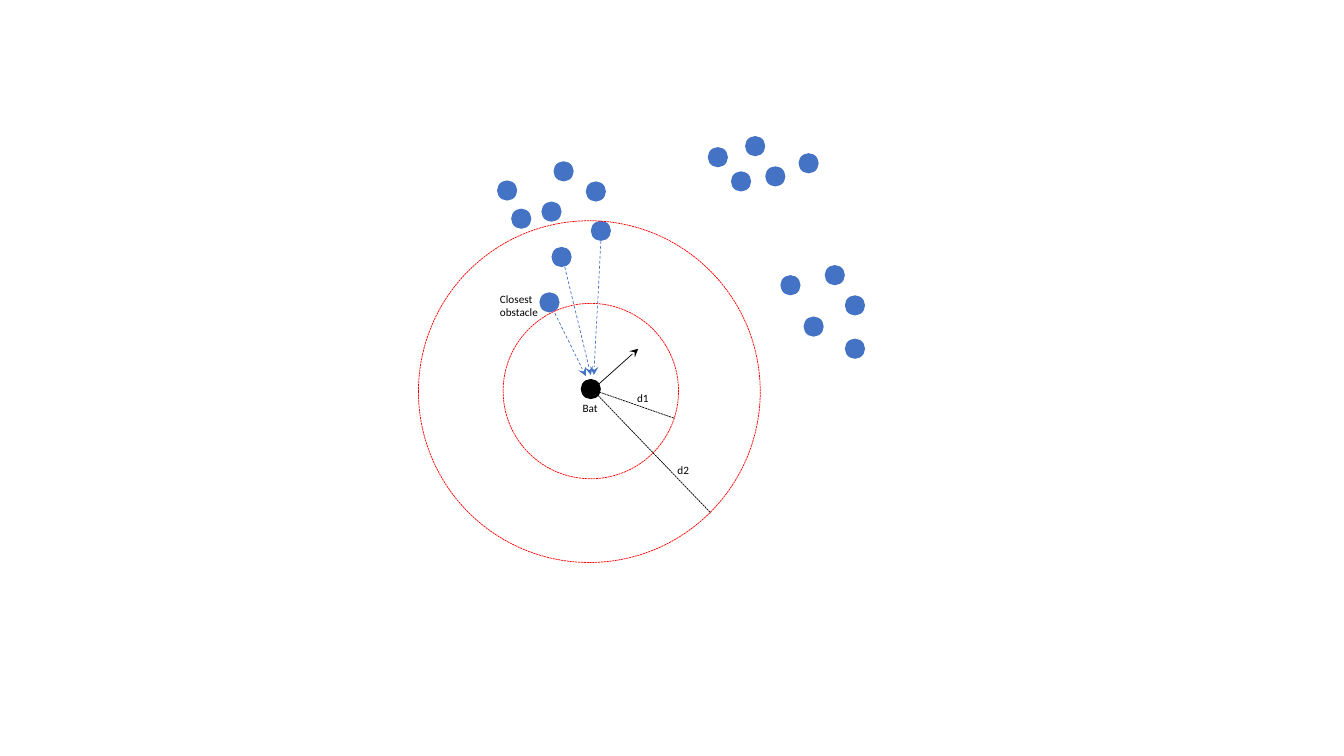
from dataclasses import dataclass

from lxml.etree import SubElement
from pptx import Presentation
from pptx.dml.color import RGBColor
from pptx.enum.dml import MSO_LINE_DASH_STYLE as Dash
from pptx.enum.shapes import MSO_CONNECTOR as Connector, MSO_SHAPE as Shape
from pptx.enum.text import MSO_AUTO_SIZE as AutoSize
from pptx.oxml.ns import qn
from pptx.util import Inches, Pt


@dataclass(frozen=True)
class Theme:
    """Colours, type and line sizes of the diagram."""
    obstacle: RGBColor = RGBColor(0x44, 0x72, 0xC4)
    bat: RGBColor = RGBColor(0, 0, 0)
    ring: RGBColor = RGBColor(0xFF, 0, 0)
    font: str = "Calibri"
    label_size: Pt = Pt(8)
    line_width: Pt = Pt(0.5)


THEME = Theme()
COLUMNS, ROWS = 1333, 750
CELL = Inches(0.01)
DOT = 20

OBSTACLE_CLUSTERS = {
    "near": [(547, 245), (507, 207), (493, 179), (537, 200), (581, 180),
             (586, 219), (535, 290), (549, 160)],
    "right": [(774, 273), (818, 263), (838, 293), (797, 314), (838, 336)],
    "top": [(702, 146), (739, 135), (759, 165), (725, 170), (792, 152)],
}
RANGE_RINGS = [(499, 301, 174), (415, 219, 339)]
ECHOES = [((546, 302), (581, 373)), ((559, 260), (586, 372)),
          ((596, 239), (589, 372))]
HEADING = ((585, 389), (633, 346))
RADII = [((586, 386), (669, 415)), ((589, 388), (705, 509))]
BAT = (576, 376)
LABELS = [("Bat", 568, 393, 35, 24), ("d1", 622, 383, 32, 24),
          ("d2", 662, 455, 32, 24), ("Closest\nobstacle", 486, 285, 59, 37)]


def cells(*counts):
    """Turn counts of grid cells into lengths."""
    return [CELL * count for count in counts]


def style_line(line, color, dash=None):
    """Give a line its colour, the shared width and a dash."""
    line.color.rgb = color
    line.width = THEME.line_width
    if dash is not None:
        line.dash_style = dash


def add_circle(page, left, top, size):
    """Add a circle without a shadow."""
    circle = page.shapes.add_shape(Shape.OVAL, *cells(left, top, size, size))
    circle.shadow.inherit = False
    return circle


def add_dot(page, left, top, color):
    """Add a small filled circle without an outline."""
    dot = add_circle(page, left, top, DOT)
    dot.fill.solid()
    dot.fill.fore_color.rgb = color
    dot.line.fill.background()


def add_ring(page, left, top, size):
    """Add a dashed range ring."""
    ring = add_circle(page, left, top, size)
    ring.fill.background()
    style_line(ring.line, THEME.ring, Dash.SQUARE_DOT)
    ring.line._get_or_add_ln().find(qn("a:prstDash")).set("val", "sysDash")


def add_line(page, ends, color, dash=None, arrow=False):
    """Add a straight line, with a stealth arrowhead at its end if asked."""
    start, end = ends
    connector = page.shapes.add_connector(
        Connector.STRAIGHT, *cells(*start, *end))
    style_line(connector.line, color, dash)
    outline = connector.line._get_or_add_ln()
    if dash == Dash.SQUARE_DOT:
        outline.find(qn("a:prstDash")).set("val", "sysDash")
    if arrow:
        SubElement(outline, qn("a:tailEnd"), type="stealth")
    SubElement(connector._element.spPr, qn("a:effectLst"))


def add_label(page, text, left, top, width, height):
    """Add a small label that fits its text."""
    box = page.shapes.add_textbox(*cells(left, top, width, height))
    frame = box.text_frame
    frame.word_wrap = False
    frame.auto_size = AutoSize.SHAPE_TO_FIT_TEXT
    frame.text = text
    for para in frame.paragraphs:
        for span in para.runs:
            span.font.name = THEME.font
            span.font.size = THEME.label_size
            span.font.color.rgb = THEME.bat


def main():
    """Build the bat and obstacle diagram."""
    deck = Presentation()
    deck.slide_width, deck.slide_height = cells(COLUMNS, ROWS)
    page = deck.slides.add_slide(deck.slide_layouts.get_by_name("Blank"))
    for cluster in OBSTACLE_CLUSTERS.values():
        for place in cluster:
            add_dot(page, *place, THEME.obstacle)
    add_line(page, HEADING, THEME.bat, arrow=True)
    for ring in RANGE_RINGS:
        add_ring(page, *ring)
    for echo in ECHOES:
        add_line(page, echo, THEME.obstacle, Dash.DASH, arrow=True)
    add_dot(page, *BAT, THEME.bat)
    for radius in RADII:
        add_line(page, radius, THEME.bat, Dash.SQUARE_DOT)
    for label in LABELS:
        add_label(page, *label)
    deck.save("out.pptx")


main()
